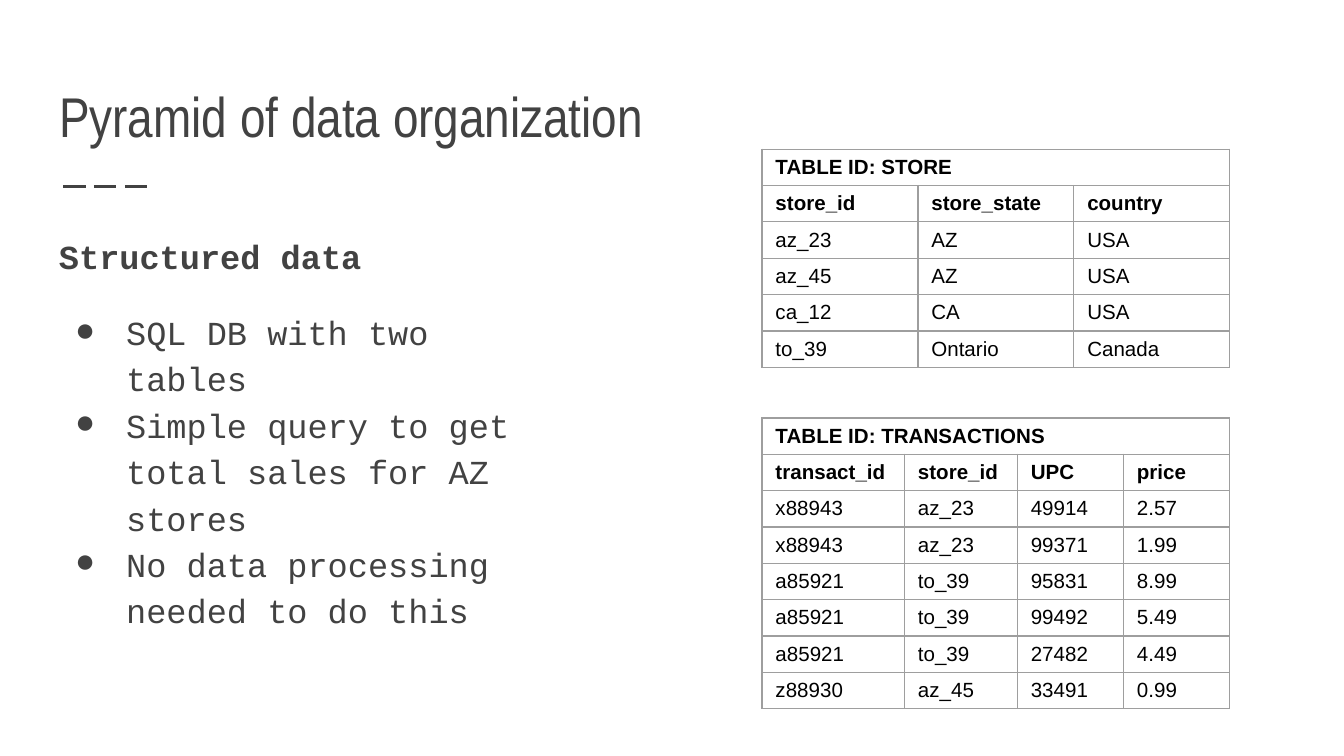
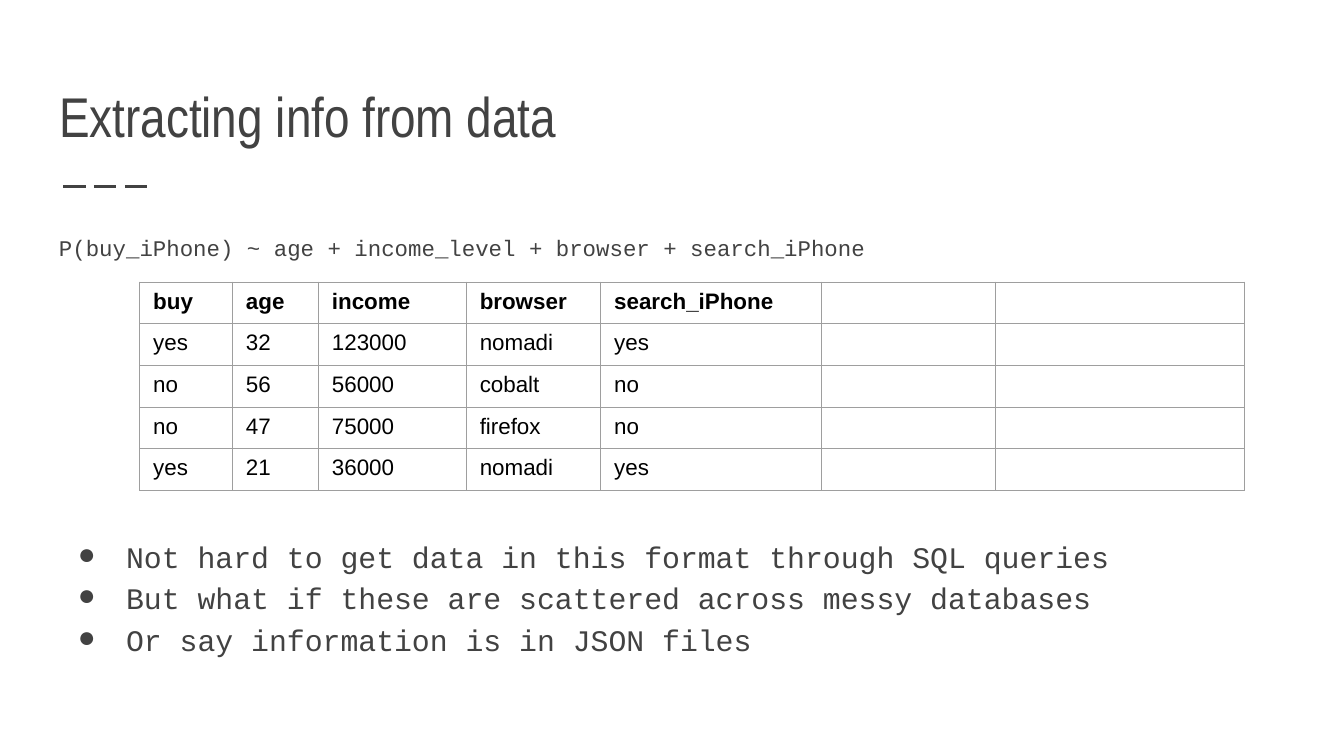
from lxml.etree import SubElement
from pptx import Presentation
from pptx.dml.color import RGBColor
from pptx.enum.dml import MSO_LINE
from pptx.enum.shapes import MSO_CONNECTOR
from pptx.enum.text import MSO_ANCHOR, MSO_AUTO_SIZE, PP_ALIGN
from pptx.oxml.ns import qn
from pptx.util import Inches, Pt

INK, BLACK, GRID = "424242", "000000", "9E9E9E"
TITLE_FONT, BODY_FONT, TABLE_FONT = "Arial Narrow", "Courier New", "Arial"

SLIDES = [
    {
        "title": "Pyramid of data organization",
        "texts": [
            {
                "box": (0.34, 1.61, 3.59, 3.39), "size": 18, "hang": 0.38,
                "lead": "Structured data", "bold": True,
                "bullets": [
                    "SQL DB with two tables",
                    "Simple query to get total sales for AZ stores",
                    "No data processing needed to do this",
                ],
            },
        ],
        "tables": [
            {
                "at": (5.67, 1.11), "cols": [1.16] * 3, "row": 0.24, "size": 11, "heads": 2,
                "rows": [
                    ["TABLE ID: STORE"],
                    ["store_id", "store_state", "country"],
                    ["az_23", "AZ", "USA"],
                    ["az_45", "AZ", "USA"],
                    ["ca_12", "CA", "USA"],
                    ["to_39", "Ontario", "Canada"],
                ],
            },
            {
                "at": (5.67, 3.11), "cols": [1.06, 0.84, 0.79, 0.79], "row": 0.24, "size": 11, "heads": 2,
                "rows": [
                    ["TABLE ID: TRANSACTIONS"],
                    ["transact_id", "store_id", "UPC", "price"],
                    ["x88943", "az_23", "49914", "2.57"],
                    ["x88943", "az_23", "99371", "1.99"],
                    ["a85921", "to_39", "95831", "8.99"],
                    ["a85921", "to_39", "99492", "5.49"],
                    ["a85921", "to_39", "27482", "4.49"],
                    ["z88930", "az_45", "33491", "0.99"],
                ],
            },
        ],
    },
    {
        "title": "Extracting info from data",
        "texts": [
            {
                "box": (0.34, 1.61, 9.32, 0.45), "size": 12,
                "lead": "P(buy_iPhone) ~ age + income_level + browser + search_iPhone",
            },
            {
                "box": (0.34, 3.87, 9.32, 1.13), "size": 16, "hang": 0.36,
                "bullets": [
                    "Not hard to get data in this format through SQL queries",
                    "But what if these are scattered across messy databases",
                    "Or say information is in JSON files",
                ],
            },
        ],
        "tables": [
            {
                "at": (1.04, 2.1), "cols": [0.69, 0.64, 1.1, 1, 1.64, 1.3, 1.85],
                "row": 0.31, "size": 12, "heads": 1,
                "rows": [
                    ["buy", "age", "income", "browser", "search_iPhone", "", ""],
                    ["yes", "32", "123000", "nomadi", "yes", "", ""],
                    ["no", "56", "56000", "cobalt", "no", "", ""],
                    ["no", "47", "75000", "firefox", "no", "", ""],
                    ["yes", "21", "36000", "nomadi", "yes", "", ""],
                ],
            },
        ],
    },
]


def rgb(color):
    return RGBColor.from_string(color)


def put(obj, **values):
    for name, value in values.items():
        setattr(obj, name, value)


def add_text(p, text, size, font, color, bold=False):
    r = p.add_run()
    r.text = text
    put(r.font, size=Pt(size), name=font, bold=bold)
    r.font.color.rgb = rgb(color)


def set_frame(tf, anchor):
    margins = {f"margin_{side}": Inches(0.1) for side in ("left", "top", "right", "bottom")}
    put(tf, word_wrap=True, auto_size=MSO_AUTO_SIZE.NONE, vertical_anchor=anchor, **margins)


def add_title(s, text):
    sp = s.shapes.title
    put(sp, left=Inches(0.34), top=Inches(0.41), width=Inches(9.32), height=Inches(0.8))
    set_frame(sp.text_frame, MSO_ANCHOR.BOTTOM)
    p = sp.text_frame.paragraphs[0]
    p.alignment = PP_ALIGN.LEFT
    add_text(p, text, 30, TITLE_FONT, INK)


def add_dashes(s):
    y = Inches(1.39)
    line = s.shapes.add_connector(MSO_CONNECTOR.STRAIGHT, Inches(0.47), y, Inches(1.14), y)
    put(line.line, width=Pt(1.5), dash_style=MSO_LINE.LONG_DASH)
    line.line.color.rgb = rgb(INK)
    SubElement(line._element.spPr, qn("a:effectLst"))


def add_bullet(p, hang, size):
    pPr = p._p.get_or_add_pPr()
    pPr.set("marL", str(Inches(0.5)))
    pPr.set("indent", str(-Inches(hang)))
    color = SubElement(pPr, qn("a:buClr"))
    SubElement(color, qn("a:srgbClr"), val=INK)
    SubElement(pPr, qn("a:buSzPts"), val=str(size * 100))
    SubElement(pPr, qn("a:buFont"), typeface=BODY_FONT)
    SubElement(pPr, qn("a:buChar"), char="●")


def add_body(s, block):
    tf = s.shapes.add_textbox(*map(Inches, block["box"])).text_frame
    set_frame(tf, MSO_ANCHOR.TOP)
    lead = [block["lead"]] if "lead" in block else []
    for i, text in enumerate(lead + block.get("bullets", [])):
        p = tf.add_paragraph() if i else tf.paragraphs[0]
        is_lead = i < len(lead)
        if not is_lead:
            add_bullet(p, block["hang"], block["size"])
        p.line_spacing = 1.15
        if lead and i == 1:
            p.space_before = Pt(16)
        add_text(p, text, block["size"], BODY_FONT, INK, is_lead and block.get("bold", False))


def set_borders(cell):
    tcPr = cell._tc.get_or_add_tcPr()
    for side in ("lnL", "lnR", "lnT", "lnB"):
        ln = SubElement(tcPr, qn(f"a:{side}"), w=str(Pt(0.75)))
        fill = SubElement(ln, qn("a:solidFill"))
        SubElement(fill, qn("a:srgbClr"), val=GRID)
    cell.fill.background()


def add_grid(s, data):
    rows, cols, size = data["rows"], data["cols"], data["size"]
    left, top = data["at"]
    area = map(Inches, (left, top, sum(cols), data["row"] * len(rows)))
    table = s.shapes.add_table(len(rows), len(cols), *area).table
    put(table, first_row=False, horz_banding=False)
    for col, width in zip(table.columns, cols):
        col.width = Inches(width)
    for i, row in enumerate(rows):
        table.rows[i].height = Inches(data["row"])
        if len(row) == 1:
            table.cell(i, 0).merge(table.cell(i, len(cols) - 1))
        for j in range(len(cols)):
            cell = table.cell(i, j)
            set_borders(cell)
            p = cell.text_frame.paragraphs[0]
            if j < len(row) and row[j]:
                add_text(p, row[j], size, TABLE_FONT, BLACK, i < data["heads"])
            else:
                SubElement(p._p, qn("a:endParaRPr"), sz=str(size * 100))


def main():
    prs = Presentation()
    width = Inches(10)
    put(prs, slide_width=width, slide_height=width * 9 // 16)
    for content in SLIDES:
        s = prs.slides.add_slide(prs.slide_layouts[5])
        add_dashes(s)
        add_title(s, content["title"])
        for block in content["texts"]:
            add_body(s, block)
        for data in content["tables"]:
            add_grid(s, data)
    prs.save("out.pptx")


if __name__ == "__main__":
    main()
